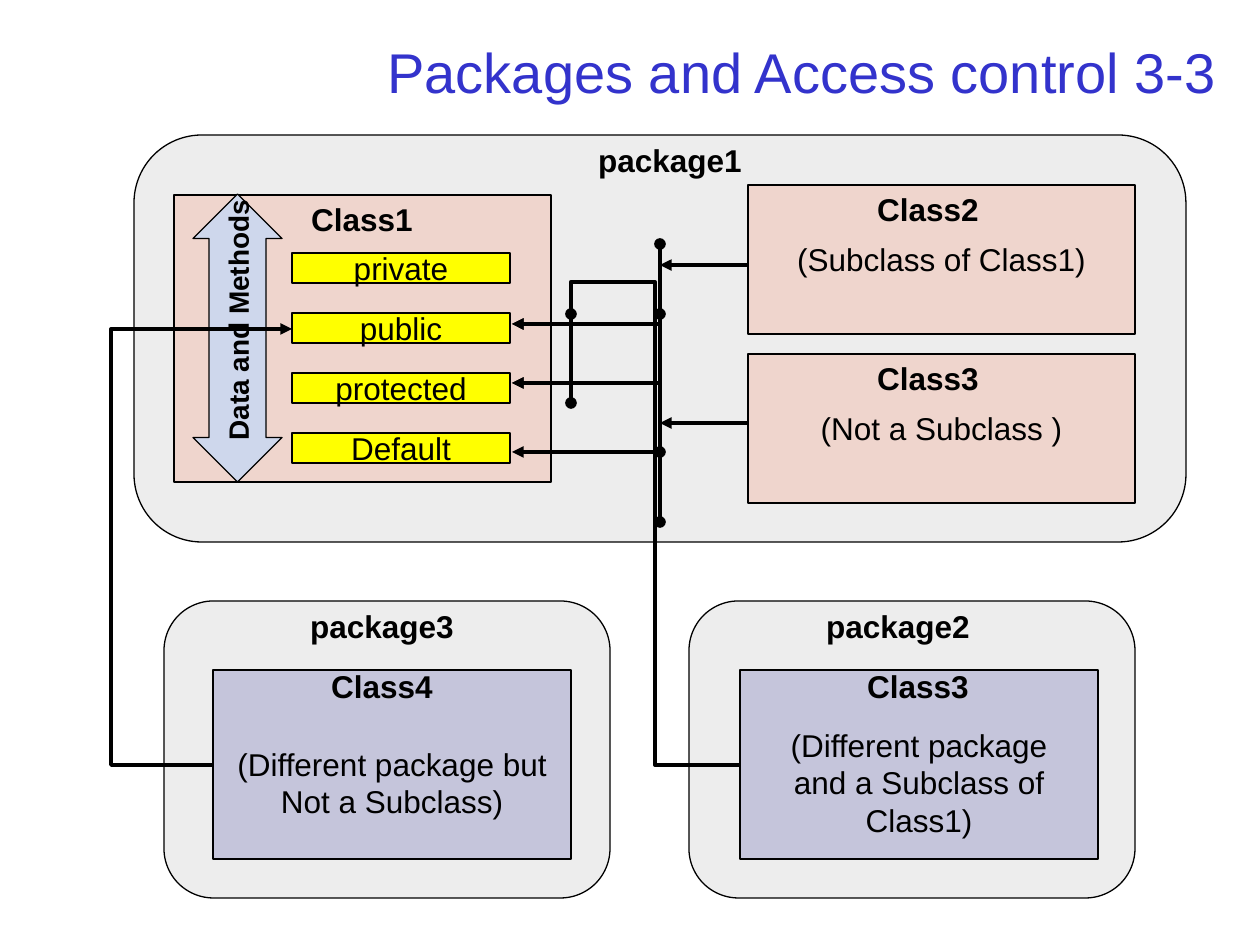
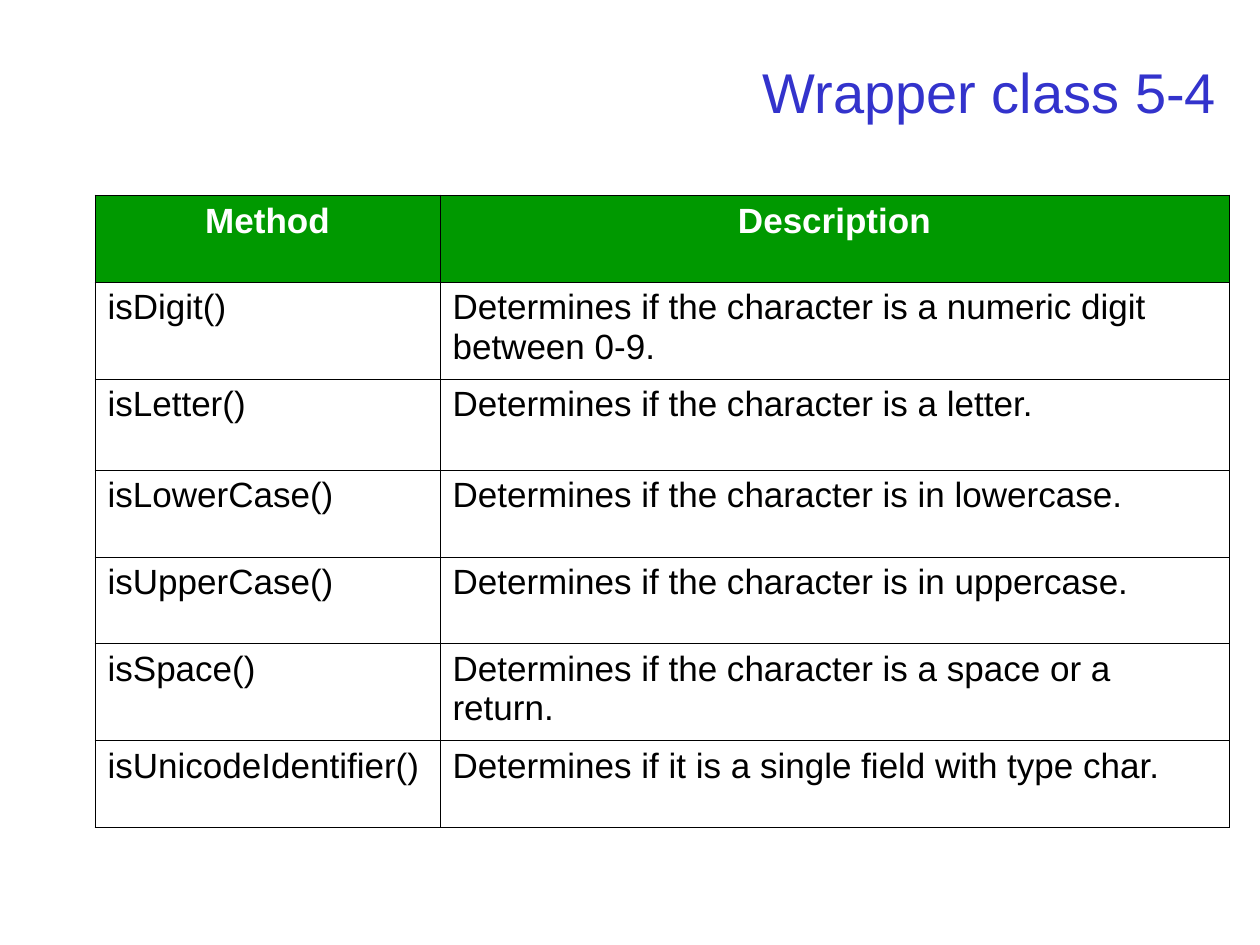
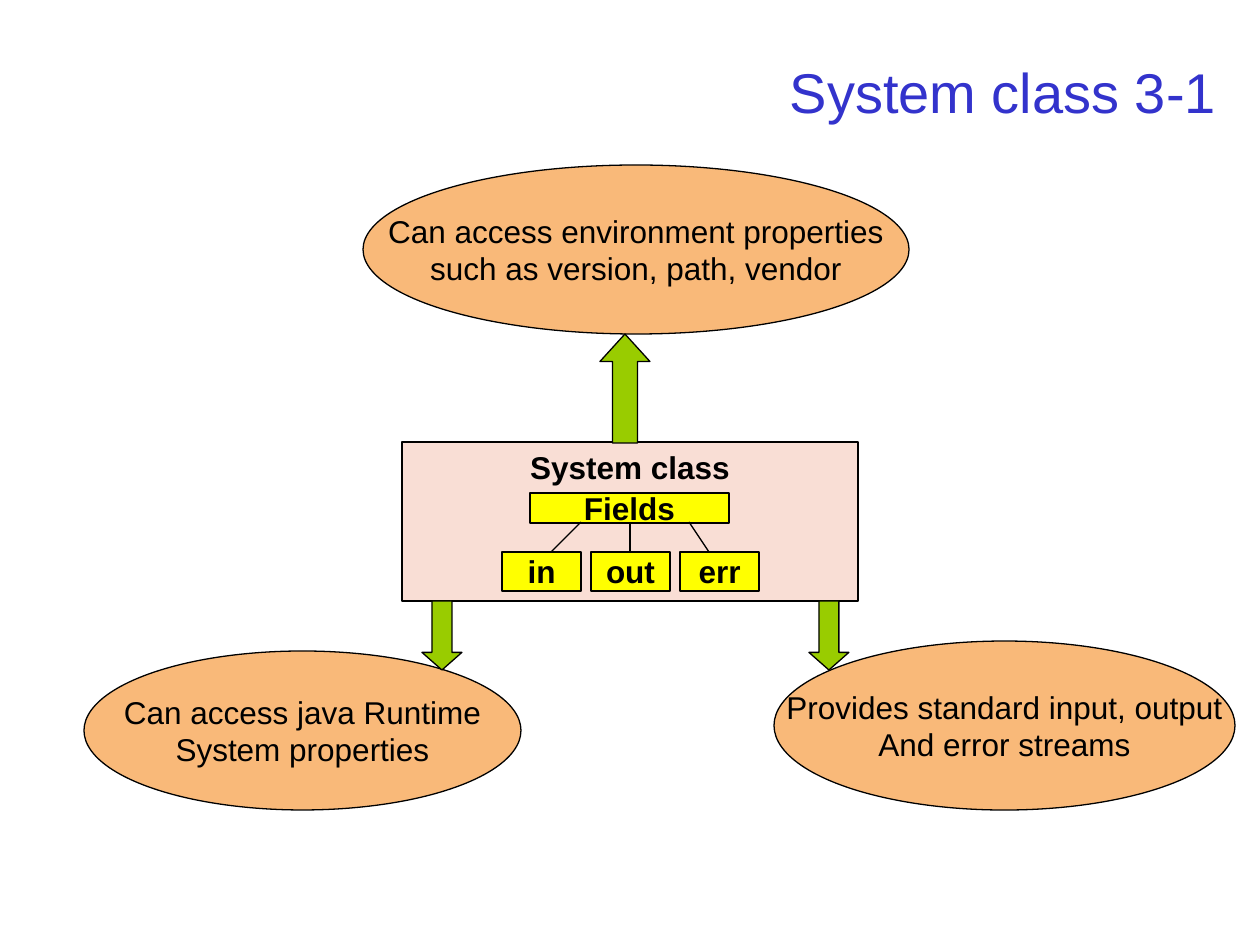
"""Build three slides on packages, wrapper classes and the System class."""
from dataclasses import dataclass
from typing import Optional

import pptx
import pptx.dml.color
import pptx.enum.shapes
import pptx.enum.text
import pptx.oxml.ns
import pptx.shapes.autoshape
import pptx.shapes.connector
import pptx.slide
import pptx.table
import pptx.text.text
import pptx.util
from lxml import etree

Shape = pptx.enum.shapes.MSO_SHAPE
Anchor = pptx.enum.text.MSO_ANCHOR
Align = pptx.enum.text.PP_ALIGN
qn = pptx.oxml.ns.qn

PX_PER_INCH = 126
FONT = "Arial"
BLACK, WHITE = "000000", "FFFFFF"
TITLE_BLUE = "3333CC"
GREY, PINK, INDIGO = "DDDDDD", "F3B6A1", "333399"
YELLOW, PALE_BLUE = "FFFF00", "CED7EC"
ORANGE, LIME, GREEN = "F9B979", "99CC00", "009900"
BODY_SIZE = 18
LINE_HEIGHT = 36
LABEL_HEIGHT = 50


@dataclass(frozen=True)
class Block:
    """An outlined preset shape, with centred text if it has lines."""
    left: int
    top: int
    width: int
    height: int
    fill: str
    lines: tuple[str, ...] = ()
    kind: Shape = Shape.RECTANGLE
    opacity: int = 100
    bold: bool = False
    anchor: Anchor = Anchor.MIDDLE
    skipped_lines: int = 0
    adjustments: tuple[float, ...] = ()


@dataclass(frozen=True)
class Label:
    """A bold caption in a box of its own."""
    left: int
    top: int
    width: int
    text: str


@dataclass(frozen=True)
class Link:
    """A line with optional ends, bent at turn_x and turn_y when given."""
    start: tuple[int, int]
    end: tuple[int, int]
    head: str = "none"
    tail: str = "none"
    width: float = 2.25
    turn_x: Optional[int] = None
    turn_y: Optional[int] = None


def px(length: int) -> pptx.util.Emu:
    """Turn px into EMU."""
    return pptx.util.Emu(round(length * 914400 / PX_PER_INCH))


def colour(code: str) -> pptx.dml.color.RGBColor:
    """Turn a hex string into a colour."""
    return pptx.dml.color.RGBColor.from_string(code)


def write(frame: pptx.text.text.TextFrame, lines: tuple[str, ...], size: int = BODY_SIZE,
          code: str = BLACK, bold: bool = False, align: Align = Align.CENTER) -> None:
    """Fill a text frame with one paragraph per line."""
    frame.text = "\n".join(lines)
    for para in frame.paragraphs:
        para.alignment = align
        para.font.name = FONT
        para.font.size = pptx.util.Pt(size)
        para.font.bold = bold
        para.font.color.rgb = colour(code)


def add_title(page: pptx.slide.Slide, text: str, top: int = 36) -> None:
    """Add the right-aligned slide title."""
    frame = page.shapes.add_textbox(px(95), px(top), px(1134), px(110)).text_frame
    frame.word_wrap = True
    frame.vertical_anchor = Anchor.MIDDLE
    write(frame, (text,), 32, TITLE_BLUE, align=Align.RIGHT)


def add_block(page: pptx.slide.Slide, block: Block) -> pptx.shapes.autoshape.Shape:
    """Draw a block and return its shape."""
    shape = page.shapes.add_shape(block.kind, px(block.left), px(block.top),
                                  px(block.width), px(block.height))
    shape.shadow.inherit = False
    for index, value in enumerate(block.adjustments):
        shape.adjustments[index] = value
    shape.fill.solid()
    shape.fill.fore_color.rgb = colour(block.fill)
    if block.opacity < 100:
        tint = shape.element.spPr.find(qn("a:solidFill"))[0]
        etree.SubElement(tint, qn("a:alpha"), val=str(block.opacity * 1000))
    shape.line.color.rgb = colour(BLACK)
    shape.line.width = pptx.util.Pt(0.75)
    if block.lines:
        frame = shape.text_frame
        frame.word_wrap = False
        frame.vertical_anchor = block.anchor
        frame.margin_top = px(6 + block.skipped_lines * LINE_HEIGHT)
        write(frame, block.lines, bold=block.bold)
    return shape


def add_label(page: pptx.slide.Slide, label: Label) -> None:
    """Draw a caption."""
    box = page.shapes.add_textbox(px(label.left), px(label.top), px(label.width), px(LABEL_HEIGHT))
    box.text_frame.word_wrap = True
    write(box.text_frame, (label.text,), bold=True)


def bend(connector: pptx.shapes.connector.Connector, link: Link) -> None:
    """Route an elbow connector through the turns of its link."""
    geometry = connector.element.spPr.find(qn("a:prstGeom"))
    guides = geometry.find(qn("a:avLst"))
    if guides is None:
        guides = etree.SubElement(geometry, qn("a:avLst"))
    geometry.set("prst", "bentConnector3" if link.turn_y is None else "bentConnector4")
    for axis, turn in enumerate((link.turn_x, link.turn_y)):
        if turn is not None:
            share = (turn - link.start[axis]) / (link.end[axis] - link.start[axis])
            etree.SubElement(guides, qn("a:gd"), name=f"adj{axis + 1}",
                             fmla=f"val {round(share * 100000)}")


def add_link(page: pptx.slide.Slide, link: Link) -> None:
    """Draw a straight or bent connector."""
    kinds = pptx.enum.shapes.MSO_CONNECTOR
    kind = kinds.STRAIGHT if link.turn_x is None else kinds.ELBOW
    connector = page.shapes.add_connector(kind, *map(px, link.start + link.end))
    if link.turn_x is not None:
        bend(connector, link)
    connector.line.color.rgb = colour(BLACK)
    connector.line.width = pptx.util.Pt(link.width)
    properties = connector.element.spPr
    outline = properties.find(qn("a:ln"))
    for tag, ending in (("a:headEnd", link.head), ("a:tailEnd", link.tail)):
        etree.SubElement(outline, qn(tag), type=ending)
    etree.SubElement(properties, qn("a:effectLst"))


def class_block(left: int, top: int, note: str) -> Block:
    """Describe a class inside package1."""
    return Block(left, top, 387, 149, PINK, (note,), opacity=42)


def add_outer_package(page: pptx.slide.Slide, left: int, label_left: int, name: str,
                      class_left: int, class_label: Label, notes: tuple[str, ...]) -> None:
    """Draw a lower package holding one class."""
    add_block(page, Block(left, 601, 446, 297, GREY,
                          kind=Shape.FLOWCHART_ALTERNATE_PROCESS, opacity=52))
    add_block(page, Block(class_left, 670, 358, 189, INDIGO, notes, opacity=21, skipped_lines=1))
    add_label(page, Label(label_left, 601, 476, name))
    add_label(page, class_label)


def build_packages(page: pptx.slide.Slide) -> None:
    """Show which classes reach which members of Class1."""
    add_title(page, "Packages and Access control 3-3", 16)
    add_block(page, Block(134, 135, 1052, 407, GREY,
                          kind=Shape.FLOWCHART_ALTERNATE_PROCESS, opacity=52))
    add_block(page, Block(174, 195, 377, 287, PINK, opacity=42))
    add_block(page, class_block(748, 185, "(Subclass of Class1)"))
    add_block(page, class_block(748, 354, "(Not a Subclass )"))
    for row, access in enumerate(("private", "public", "protected", "Default")):
        add_block(page, Block(292, 253 + 60 * row, 218, 30, YELLOW, (access,)))

    arrow = add_block(page, Block(193, 194, 89, 288, PALE_BLUE, kind=Shape.UP_DOWN_ARROW,
                                  adjustments=(0.5, 0.64)))
    arrow.rotation = 180
    frame = arrow.text_frame
    frame.word_wrap = False
    frame.vertical_anchor = Anchor.MIDDLE
    frame.margin_left = frame.margin_right = px(6)
    frame.margin_top = frame.margin_bottom = px(13)
    arrow.element.txBody.find(qn("a:bodyPr")).set("vert", "eaVert")
    write(frame, ("Data and Methods",), 16, bold=True)

    for label in (Label(432, 135, 476, "package1"), Label(243, 194, 238, "Class1"),
                  Label(809, 184, 238, "Class2"), Label(809, 353, 238, "Class3")):
        add_label(page, label)
    add_outer_package(page, 689, 660, "package2", 740, Label(799, 661, 238, "Class3"),
                      ("(Different package", "and a Subclass of", "Class1)"))
    add_outer_package(page, 164, 144, "package3", 213, Label(263, 661, 238, "Class4"),
                      ("(Different package but", "Not a Subclass)"))

    for x, top, bottom in ((660, 244, 452), (660, 314, 522), (571, 314, 403)):
        add_link(page, Link((x, top), (x, bottom), "oval", "oval"))
    for start, end, y in ((748, 660, 265), (660, 512, 324), (660, 512, 383), (660, 512, 452),
                          (748, 660, 423), (571, 512, 324), (571, 512, 383)):
        add_link(page, Link((start, y), (end, y), tail="triangle"))
    add_link(page, Link((740, 765), (571, 311), turn_x=655, turn_y=282))
    add_link(page, Link((213, 765), (292, 329), tail="triangle", turn_x=111))


def style_cell(cell: pptx.table._Cell, text: str, header: bool) -> None:
    """Write one table cell with thin borders."""
    for side in "LRTB":
        edge = etree.SubElement(cell._tc.get_or_add_tcPr(), qn(f"a:ln{side}"), w="5715")
        paint = etree.SubElement(edge, qn("a:solidFill"))
        etree.SubElement(paint, qn("a:srgbClr"), val=BLACK)
    if header:
        cell.fill.solid()
        cell.fill.fore_color.rgb = colour(GREEN)
    else:
        cell.fill.background()
    write(cell.text_frame, (text,), 20, WHITE if header else BLACK, header,
          Align.CENTER if header else Align.LEFT)


def build_wrapper(page: pptx.slide.Slide) -> None:
    """List the character test methods."""
    add_title(page, "Wrapper class 5-4")
    rows = (
        ("Method", "Description", 87),
        ("isDigit()", "Determines if the character is a numeric digit between 0-9.", 97),
        ("isLetter()", "Determines if the character is a letter.", 91),
        ("isLowerCase()", "Determines if the character is in lowercase.", 87),
        ("isUpperCase()", "Determines if the character is in uppercase.", 87),
        ("isSpace()", "Determines if the character is a space or a return.", 97),
        ("isUnicodeIdentifier()", "Determines if it is a single field with type char.", 87),
    )
    height = sum(row[-1] for row in rows)
    table = page.shapes.add_table(len(rows), 2, px(95), px(195), px(1134), px(height)).table
    table.first_row = table.horz_banding = False
    for column, width in zip(table.columns, (345, 789)):
        column.width = px(width)
    for index, (method, description, row_height) in enumerate(rows):
        table.rows[index].height = px(row_height)
        for column, text in enumerate((method, description)):
            style_cell(table.cell(index, column), text, index == 0)


def build_system(page: pptx.slide.Slide) -> None:
    """Show the fields and uses of the System class."""
    add_title(page, "System class 3-1")
    for left, top, width, height, lines in (
        (363, 165, 546, 169, ("Can access environment properties", "such as version, path, vendor")),
        (774, 641, 461, 169, ("Provides standard input, output", "And error streams")),
        (84, 651, 437, 159, ("Can access java Runtime", "System properties")),
    ):
        add_block(page, Block(left, top, width, height, ORANGE, lines, kind=Shape.OVAL))
    add_block(page, Block(402, 442, 456, 159, PINK, ("System class",), opacity=44,
                          bold=True, anchor=Anchor.TOP))
    add_block(page, Block(600, 334, 50, 109, LIME, kind=Shape.UP_ARROW, adjustments=(0.5, 0.55)))
    for left in (422, 809):
        add_block(page, Block(left, 601, 40, 69, LIME, kind=Shape.DOWN_ARROW,
                              adjustments=(0.5, 0.44)))
    for column, stream in enumerate(("in", "out", "err")):
        add_block(page, Block(502 + 89 * column, 552, 79, 39, YELLOW, (stream,), bold=True))
    add_block(page, Block(530, 493, 199, 30, YELLOW, ("Fields",), bold=True))
    for start, end in ((581, 551), (630, 630), (689, 709)):
        add_link(page, Link((start, 522), (end, 552), width=0.75))


def main() -> None:
    """Build and save the deck."""
    deck = pptx.Presentation()
    deck.slide_width, deck.slide_height = px(1260), px(945)
    for build in (build_packages, build_wrapper, build_system):
        build(deck.slides.add_slide(deck.slide_layouts[6]))
    deck.save("out.pptx")


if __name__ == "__main__":
    main()
